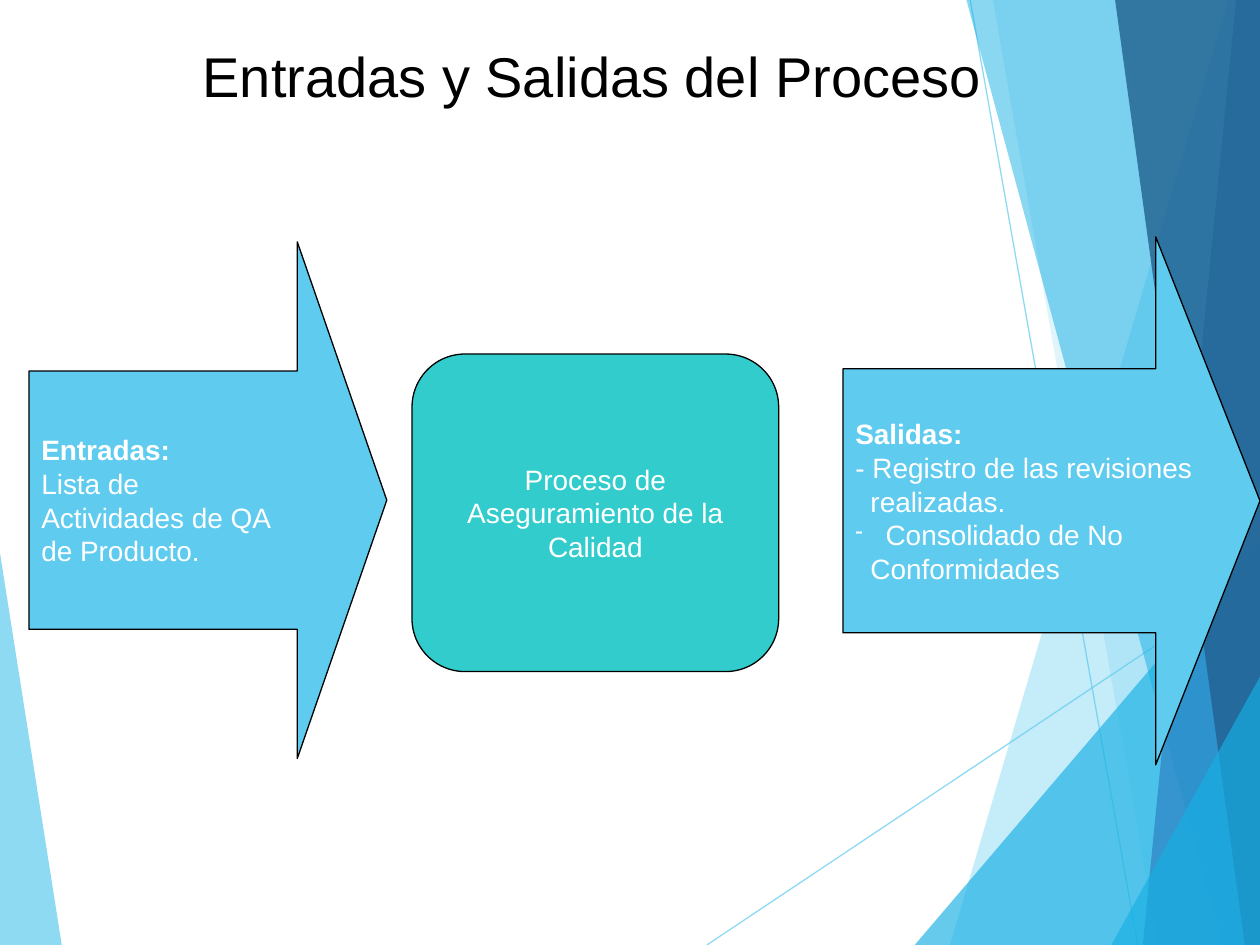
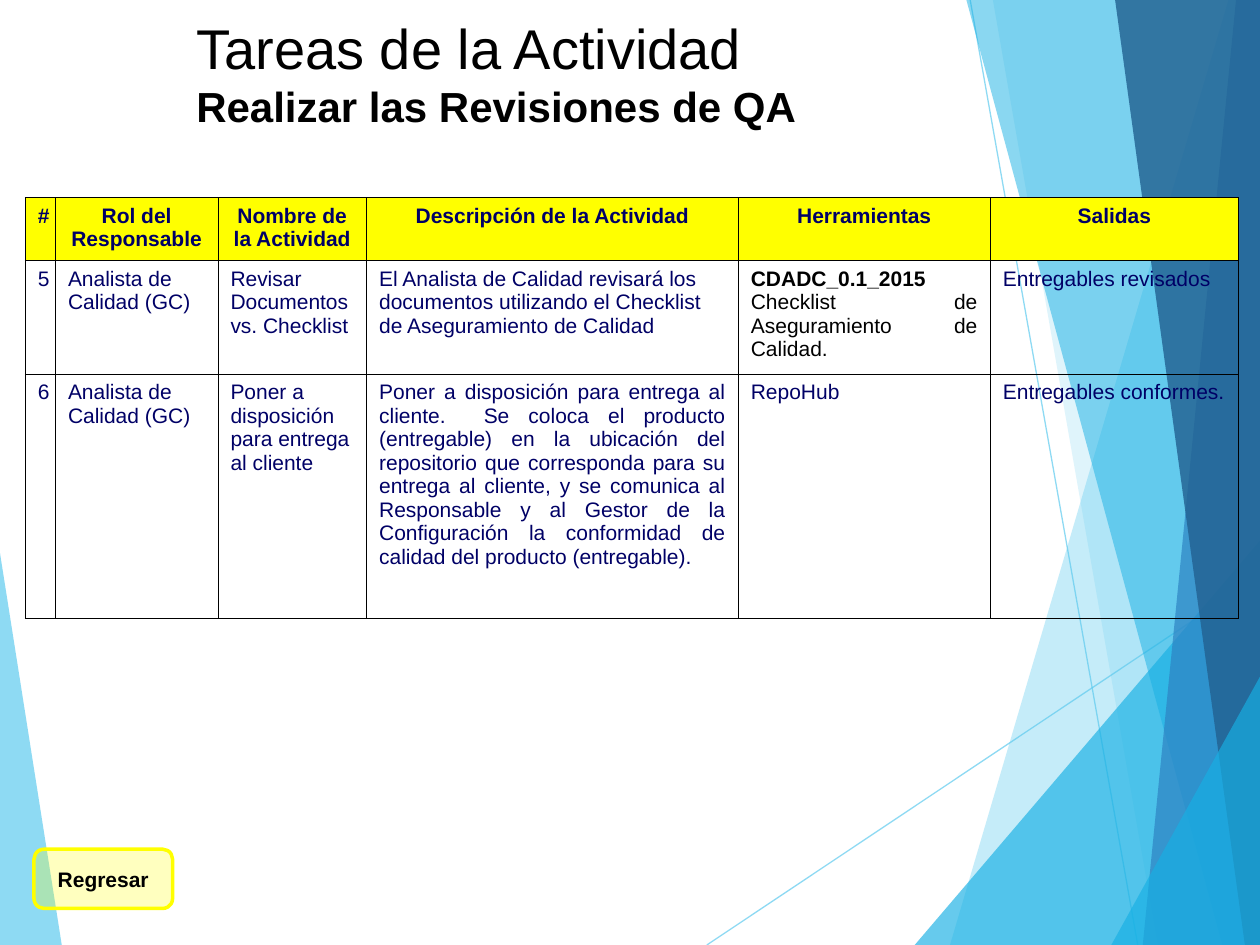
from dataclasses import dataclass

from lxml import etree
from pptx import Presentation
from pptx.dml.color import RGBColor
from pptx.enum.shapes import MSO_CONNECTOR, MSO_SHAPE
from pptx.enum.text import MSO_ANCHOR, PP_ALIGN
from pptx.oxml.ns import qn
from pptx.util import Pt

PX = 9144
ARROW = MSO_SHAPE.RIGHT_ARROW
ROUNDED = MSO_SHAPE.ROUNDED_RECTANGLE
BUTTON = MSO_SHAPE.FLOWCHART_ALTERNATE_PROCESS
STRAIGHT = MSO_CONNECTOR.STRAIGHT
LEFT, CENTER, JUSTIFY = PP_ALIGN.LEFT, PP_ALIGN.CENTER, PP_ALIGN.JUSTIFY
TOP, MIDDLE = MSO_ANCHOR.TOP, MSO_ANCHOR.MIDDLE


@dataclass(frozen=True)
class Theme:
    font: str = "Arial"
    title: int = 32
    subtitle: int = 24
    body: int = 16
    small: int = 12
    hairline: float = 0.75
    grid: float = 0.45
    button_line: float = 2
    black: str = "000000"
    white: str = "FFFFFF"
    navy: str = "000066"
    yellow: str = "FFFF00"
    teal: str = "33CCCC"
    sky: str = "5FCBEF"
    cyan: str = "17B0E4"
    blue: str = "2E83C3"
    deep: str = "236292"


T = Theme()


@dataclass(frozen=True)
class Box:
    x: int
    y: int
    w: int
    h: int

    def emu(self) -> tuple[int, ...]:
        return tuple(v * PX for v in (self.x, self.y, self.w, self.h))


@dataclass(frozen=True)
class Run:
    text: str
    bold: bool | None = None
    size: int | None = None
    line_break: bool = False


@dataclass(frozen=True)
class Para:
    runs: tuple[Run, ...]
    margin: int = 0
    bullet: str = ""


@dataclass(frozen=True)
class Facet:
    points: tuple[tuple[int, int], ...]
    color: str
    alpha: int


@dataclass(frozen=True)
class Ray:
    start: tuple[int, int]
    end: tuple[int, int]


@dataclass(frozen=True)
class Block:
    kind: MSO_SHAPE
    box: Box
    fill: str
    paras: tuple[Para, ...]
    adjustments: tuple[float, ...] = ()
    alpha: int = 100
    line: str = T.black
    line_width: float = T.hairline
    size: int = T.body
    color: str = T.white
    bold: bool = False
    align: PP_ALIGN = LEFT
    wrap: bool = False


@dataclass(frozen=True)
class Cell:
    paras: tuple[Para, ...]
    align: PP_ALIGN = LEFT
    color: str = T.navy
    bold: bool = False
    fill: str = ""


def line(text: str, margin: int = 0, bullet: str = "", **fmt) -> Para:
    return Para((Run(text, **fmt),), margin, bullet)


def headed(heading: str, text: str) -> Para:
    return Para((Run(heading, bold=True, line_break=True), Run(text)))


def head(text: str) -> Cell:
    return Cell((line(text),), CENTER, bold=True, fill=T.yellow)


def cell(text: str, align: PP_ALIGN = LEFT) -> Cell:
    return Cell((line(text),), align)


CORNER = Facet(((0, 439), (49, 750), (0, 750)), T.sky, 70)
RAYS = (Ray((561, 750), (1000, 457)), Ray((770, 0), (903, 750)))
FACETS = (
    Facet(((975, 0), (754, 750), (1000, 750), (1000, 0)), T.sky, 36),
    Facet(((788, 0), (919, 750), (1000, 750), (1000, 0)), T.sky, 20),
    Facet(((726, 750), (1000, 429), (1000, 750)), T.cyan, 66),
    Facet(((767, 0), (970, 750), (1000, 750), (1000, 0)), T.cyan, 50),
    Facet(((981, 0), (907, 750), (1000, 750), (1000, 0)), T.blue, 70),
    Facet(((885, 0), (988, 750), (1000, 750), (1000, 0)), T.deep, 82),
    Facet(((882, 750), (1000, 537), (1000, 750)), T.cyan, 66),
)

PROCESS_FLOW = (
    Block(ARROW, Box(23, 192, 284, 410), T.sky, (
        headed("Entradas:", "Lista de"),
        line("Actividades de QA"),
        line("de Producto."),
    ), (0.5, 0.25)),
    Block(ROUNDED, Box(327, 281, 291, 252), T.teal,
          (line("Proceso de Aseguramiento de la Calidad"),),
          (0.167,), align=CENTER, wrap=True),
    Block(ARROW, Box(669, 188, 331, 419), T.sky, (
        headed("Salidas:", "- Registro de las revisiones"),
        line("realizadas.", margin=12),
        line("Consolidado de No", margin=24, bullet="-"),
        line("Conformidades", margin=12),
    ), (0.5, 0.25)),
)

BACK_BUTTON = Block(BUTTON, Box(27, 674, 110, 47), T.yellow, (line("Regresar"),),
                    alpha=25, line=T.yellow, line_width=T.button_line,
                    size=T.small, color=T.black, bold=True, align=CENTER)

TASK_COLUMNS = (24, 129, 118, 295, 200, 197)
TASK_ROWS = (50, 90, 194)
TASKS = (
    tuple(head(t) for t in ("#", "Rol del Responsable", "Nombre de la Actividad",
                            "Descripción de la Actividad", "Herramientas", "Salidas")),
    (
        cell("5", CENTER),
        cell("Analista de Calidad (GC)"),
        cell("Revisar Documentos vs. Checklist"),
        cell("El Analista de Calidad revisará los documentos utilizando el Checklist "
             "de Aseguramiento de Calidad"),
        Cell((Para((Run("CDADC_0.1_2015 ", bold=True),
                    Run("Checklist de Aseguramiento de Calidad."))),), JUSTIFY, T.black),
        cell("Entregables revisados"),
    ),
    (
        cell("6", CENTER),
        cell("Analista de Calidad (GC)"),
        cell("Poner a disposición para entrega al cliente"),
        cell("Poner a disposición para entrega al cliente.  Se coloca el producto "
             "(entregable) en la ubicación del repositorio que corresponda para su "
             "entrega al cliente, y se comunica al Responsable y al Gestor de la "
             "Configuración la conformidad de calidad del producto (entregable).", JUSTIFY),
        cell("RepoHub"),
        cell("Entregables conformes."),
    ),
)


def rgb(color: str) -> RGBColor:
    return RGBColor.from_string(color)


def set_alpha(element, percent: int) -> None:
    clr = next(element.iter(qn("a:srgbClr")))
    etree.SubElement(clr, qn("a:alpha"), val=str(percent * 1000))


def add_bullet(p, char: str, color: str) -> None:
    pPr = p._p.get_or_add_pPr()
    clr = etree.SubElement(pPr, qn("a:buClr"))
    etree.SubElement(clr, qn("a:srgbClr"), val=color)
    etree.SubElement(pPr, qn("a:buSzPct"), val="80000")
    etree.SubElement(pPr, qn("a:buChar"), char=char)


def write(tf, paras: tuple[Para, ...], *, size: int, color: str, bold: bool = False,
          align: PP_ALIGN = LEFT) -> None:
    for i, para in enumerate(paras):
        p = tf.add_paragraph() if i else tf.paragraphs[0]
        p.alignment = align
        if para.margin:
            pPr = p._p.get_or_add_pPr()
            pPr.set("marL", str(para.margin * PX))
            pPr.set("indent", str(-para.margin * PX if para.bullet else 0))
        if para.bullet:
            add_bullet(p, para.bullet, color)
        for run in para.runs:
            r = p.add_run()
            r.text = run.text
            r.font.name = T.font
            r.font.size = Pt(run.size or size)
            r.font.bold = bold if run.bold is None else run.bold
            r.font.color.rgb = rgb(color)
            if run.line_break:
                p.add_line_break()


def add_facet(s, facet: Facet) -> None:
    start, *rest = facet.points
    builder = s.shapes.build_freeform(*start, scale=PX)
    builder.add_line_segments(rest, close=True)
    sp = builder.convert_to_shape()
    sp.shadow.inherit = False
    sp.fill.solid()
    sp.fill.fore_color.rgb = rgb(facet.color)
    sp.line.fill.background()
    set_alpha(sp._element.spPr, facet.alpha)


def add_ray(s, ray: Ray) -> None:
    ends = [v * PX for v in ray.start + ray.end]
    cxn = s.shapes.add_connector(STRAIGHT, *ends)
    cxn.line.color.rgb = rgb(T.sky)
    cxn.line.width = Pt(T.hairline)
    spPr = cxn._element.spPr
    set_alpha(spPr, 70)
    etree.SubElement(spPr, qn("a:effectLst"))


def add_block(s, block: Block) -> None:
    sp = s.shapes.add_shape(block.kind, *block.box.emu())
    for i, value in enumerate(block.adjustments):
        sp.adjustments[i] = value
    sp.shadow.inherit = False
    sp.fill.solid()
    sp.fill.fore_color.rgb = rgb(block.fill)
    if block.alpha < 100:
        set_alpha(sp._element.spPr, block.alpha)
    sp.line.color.rgb = rgb(block.line)
    sp.line.width = Pt(block.line_width)
    tf = sp.text_frame
    tf.word_wrap = block.wrap
    tf.vertical_anchor = MIDDLE
    write(tf, block.paras, size=block.size, color=block.color, bold=block.bold,
          align=block.align)


def add_title(s, box: Box, *paras: Para) -> None:
    tf = s.shapes.add_textbox(*box.emu()).text_frame
    tf.word_wrap = True
    tf.vertical_anchor = TOP
    write(tf, paras, size=T.title, color=T.black)


def add_borders(tc) -> None:
    tcPr = tc._tc.get_or_add_tcPr()
    for side in ("a:lnL", "a:lnR", "a:lnT", "a:lnB"):
        ln = etree.SubElement(tcPr, qn(side), w=str(int(Pt(T.grid))))
        fill = etree.SubElement(ln, qn("a:solidFill"))
        etree.SubElement(fill, qn("a:srgbClr"), val=T.black)


def add_tasks(s, x: int, y: int) -> None:
    box = Box(x, y, sum(TASK_COLUMNS), sum(TASK_ROWS))
    table = s.shapes.add_table(len(TASK_ROWS), len(TASK_COLUMNS), *box.emu()).table
    table.first_row = table.horz_banding = False
    for column, width in zip(table.columns, TASK_COLUMNS):
        column.width = width * PX
    for row, height, cells in zip(table.rows, TASK_ROWS, TASKS):
        row.height = height * PX
        for tc, item in zip(row.cells, cells):
            add_borders(tc)
            if item.fill:
                tc.fill.solid()
                tc.fill.fore_color.rgb = rgb(item.fill)
            else:
                tc.fill.background()
            write(tc.text_frame, item.paras, size=T.small, color=item.color,
                  bold=item.bold, align=item.align)


def new_slide(prs):
    s = prs.slides.add_slide(prs.slide_layouts[6])
    add_facet(s, CORNER)
    for ray in RAYS:
        add_ray(s, ray)
    for facet in FACETS:
        add_facet(s, facet)
    return s


def main() -> None:
    prs = Presentation()
    prs.slide_width, prs.slide_height = 1000 * PX, 750 * PX

    s = new_slide(prs)
    add_title(s, Box(151, 28, 680, 64), line("Entradas y Salidas del Proceso"))
    for block in PROCESS_FLOW:
        add_block(s, block)

    s = new_slide(prs)
    add_tasks(s, 20, 157)
    add_title(s, Box(146, 6, 654, 104), line("Tareas de la Actividad"),
              line("Realizar las Revisiones de QA", size=T.subtitle, bold=True))
    add_block(s, BACK_BUTTON)

    prs.save("out.pptx")


if __name__ == "__main__":
    main()
